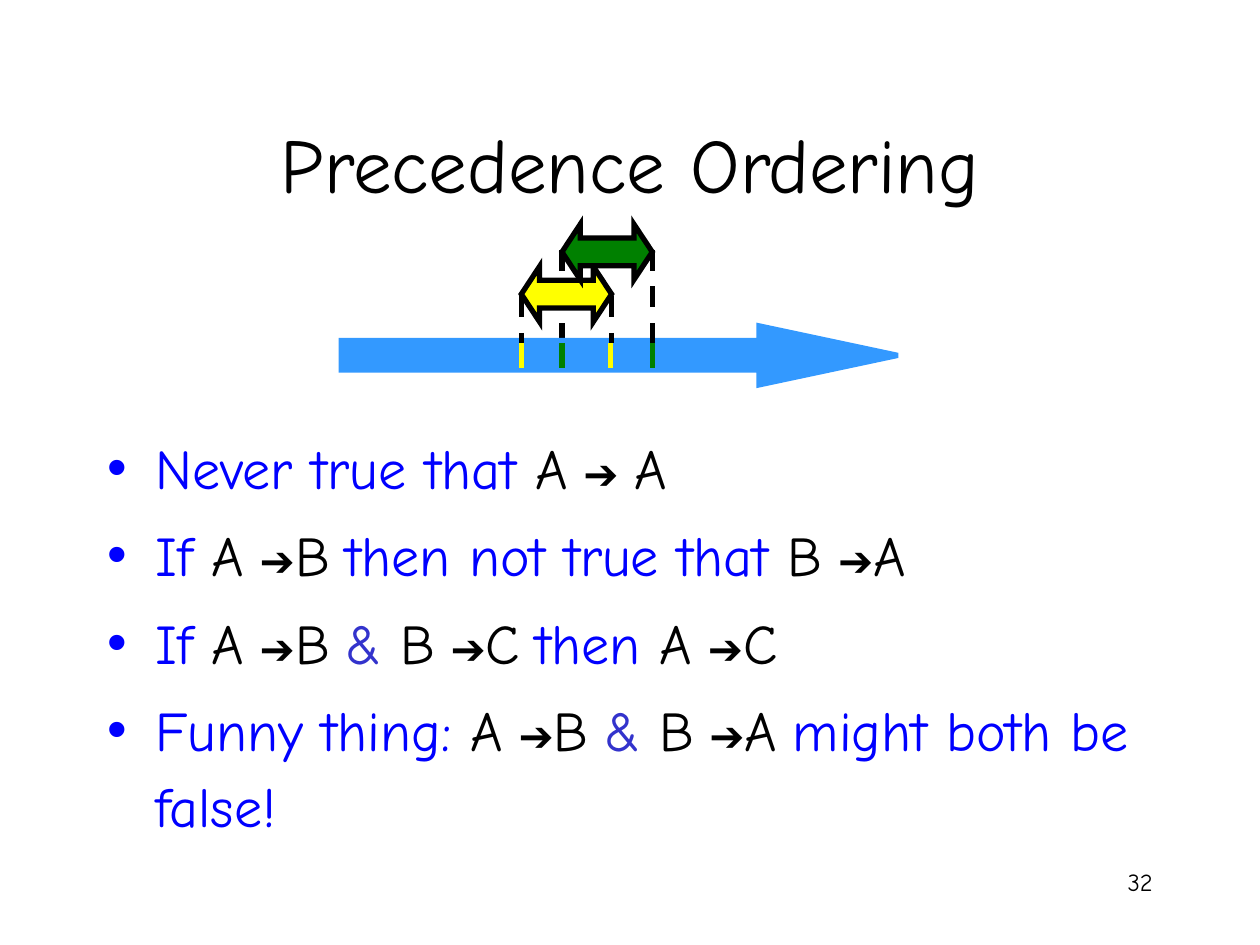
from dataclasses import dataclass
from typing import NamedTuple

from lxml.etree import SubElement as Sub
from pptx import Presentation
from pptx.dml.color import RGBColor as Rgb
from pptx.enum.dml import MSO_LINE as Dash
from pptx.enum.shapes import MSO_CONNECTOR as Link, MSO_SHAPE as Kind
from pptx.enum.text import MSO_ANCHOR as Anchor, PP_ALIGN as Align
from pptx.oxml.ns import qn
from pptx.util import Cm, Pt

HUES = {
    "black": "000000", "blue": "0000FF", "violet": "3333CC",
    "sky": "3399FF", "yellow": "FFFF00", "green": "008000",
}
FONT, PLAIN = "Comic Neue", "Arial"
SIGN = "➔"
PEN = Pt(3)
AXIS, BASE = 6.91, 7.42  # top and foot of the marks on the time arrow


class Span(NamedTuple):
    text: str
    hue: str = "black"
    font: str = FONT


@dataclass
class Mark:
    """Upright line at x; dashed ones lead from an event to the time arrow."""
    x: float
    top: float
    foot: float
    hue: str = "black"
    dash: bool = False

    def draw(self, slide) -> None:
        x = Cm(self.x)
        line = slide.shapes.add_connector(
            Link.STRAIGHT, x, Cm(self.top), x, Cm(self.foot))
        line.line.color.rgb = tint(self.hue)
        line.line.width = PEN
        if self.dash:
            line.line.dash_style = Dash.DASH
        Sub(line._element.spPr, qn("a:effectLst"))


@dataclass
class Arrow:
    kind: Kind
    box: tuple[float, float, float, float]
    head: float
    fill: str
    edge: str = "black"

    def draw(self, slide) -> None:
        shape = slide.shapes.add_shape(self.kind, *map(Cm, self.box))
        shape.shadow.inherit = False
        shape.adjustments[0] = 0.5
        shape.adjustments[1] = self.head
        shape.fill.solid()
        shape.fill.fore_color.rgb = tint(self.fill)
        shape.line.color.rgb = tint(self.edge)
        shape.line.width = PEN
        Sub(shape.line._get_or_add_ln(), qn("a:miter"), lim="800000")


def tint(hue: str) -> Rgb:
    return Rgb.from_string(HUES[hue])


def add_bullet(para, hue: str) -> None:
    props = para._p.get_or_add_pPr()
    props.set("marL", str(Cm(0.97)))
    props.set("indent", str(-Cm(0.97)))
    Sub(Sub(props, qn("a:buClr")), qn("a:srgbClr"), val=HUES[hue])
    Sub(props, qn("a:buFont"), typeface=PLAIN)
    Sub(props, qn("a:buChar"), char="•")


def add_text(slide, box, paras, *, size, align=Align.LEFT,
             anchor=Anchor.TOP, bullet=False, gap=0.0, pitch=1.0) -> None:
    """Set each list of spans as a paragraph, with the arrow signs smaller."""
    frame = slide.shapes.add_textbox(*map(Cm, box)).text_frame
    frame.word_wrap = True
    frame.vertical_anchor = anchor
    for i, spans in enumerate(paras):
        para = frame.add_paragraph() if i else frame.paragraphs[0]
        para.alignment = align
        para.line_spacing = pitch
        if i:
            para.space_before = Pt(gap)
        if bullet:
            add_bullet(para, spans[0].hue)
        for span in spans:
            run = para.add_run()
            run.text = span.text
            run.font.name = span.font
            run.font.size = Pt(size * 0.75 if span.text == SIGN else size)
            run.font.color.rgb = tint(span.hue)


def order(first: str, last: str) -> list[Span]:
    return [Span(first), SPACE, Span(SIGN), Span(last)]


def blue(text: str) -> Span:
    return Span(text, "blue")


SPACE = Span(" ", font=PLAIN)
AND = Span("& ", "violet")
POINTS = [
    [blue("Never true that "), *order("A", ""), SPACE, Span("A")],
    [blue("If "), *order("A", "B"), SPACE, blue("then not true that "),
     *order("B", "A")],
    [blue("If "), *order("A", "B"), SPACE, AND, *order("B", "C"), SPACE,
     blue("then "), *order("A", "C")],
    [blue("Funny thing: "), *order("A", "B"), SPACE, AND, *order("B", "A"),
     SPACE, blue("might both be false!")],
]

# Back to front
TIMES = [
    Mark(11.33, 5.03, BASE, dash=True),
    Arrow(Kind.RIGHT_ARROW, (6.88, 6.57, 11.22, 1.19), 2.35, "sky", "sky"),
    Mark(10.52, 5.97, AXIS, dash=True),
    Mark(12.32, 5.97, AXIS, dash=True),
    Arrow(Kind.LEFT_RIGHT_ARROW, (10.51, 5.37, 1.82, 1.12), 0.33, "yellow"),
    Mark(10.52, AXIS, BASE, "yellow"),
    Mark(12.3, AXIS, BASE, "yellow"),
    Arrow(Kind.LEFT_RIGHT_ARROW, (11.33, 4.52, 1.82, 1.12), 0.33, "green"),
    Mark(11.33, AXIS, BASE, "green"),
    Mark(13.16, 5.03, BASE, dash=True),
    Mark(13.16, AXIS, BASE, "green"),
]


def main() -> None:
    deck = Presentation()
    deck.slide_width, deck.slide_height = Cm(25.4), Cm(19.05)
    slide = deck.slides.add_slide(deck.slide_layouts[6])
    add_text(slide, (18.21, 17.35, 5.28, 1.27), [[Span("32")]],
             size=14, align=Align.RIGHT)
    add_text(slide, (1.91, 1.7, 21.6, 3.18), [[Span("Precedence Ordering")]],
             size=44, align=Align.CENTER, anchor=Anchor.MIDDLE)
    for item in TIMES:
        item.draw(slide)
    add_text(slide, (1.91, 8.43, 21.6, 7.82), POINTS,
             size=32, bullet=True, gap=6.6, pitch=1.13)
    deck.save("out.pptx")


if __name__ == "__main__":
    main()
